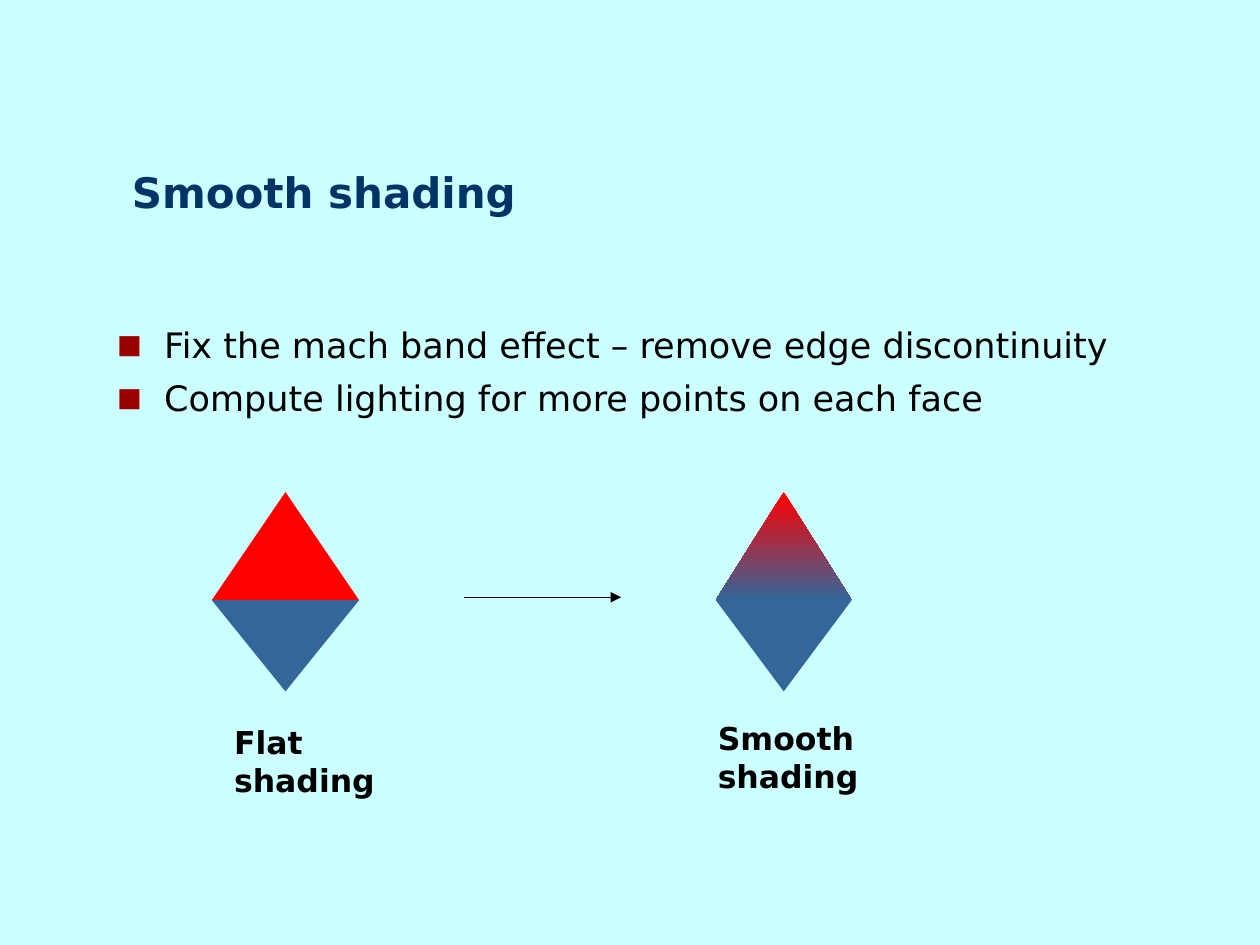
import pptx
import pptx.util
import pptx.dml.color
import pptx.enum.shapes
import pptx.enum.text
import pptx.oxml.ns
import lxml.etree

Cm = pptx.util.Cm
Pt = pptx.util.Pt
RGB = pptx.dml.color.RGBColor
qn = pptx.oxml.ns.qn

PALE = RGB(0xCC, 0xFF, 0xFF)
NAVY = RGB(0x00, 0x33, 0x66)
BLACK = RGB(0x00, 0x00, 0x00)
RED = RGB(0xFF, 0x00, 0x00)
BLUE = RGB(0x33, 0x66, 0x99)
MARK = "9A0000"
FONT = "DejaVu Sans"

# Content; lengths in cm
TITLE = "Smooth shading"
POINTS = [
    "Fix the mach band effect – remove edge discontinuity",
    "Compute lighting for more points on each face",
]
# left, width, colours of the upper face, label, label box
GEMS = [
    (14.43, 2.74, (RED, BLUE), "Smooth shading", (14.22, 14.38, 5.64, 1.02)),
    (4.27, 2.97, (RED,), "Flat shading", (4.47, 14.45, 4.39, 1.02)),
]
TOP, MID, LOW = 9.92, 12.1, 13.94
ARROW = (9.35, 12.04, 12.52, 12.04)


def add_text(slide, box, lines, size, color, bold=False):
    frame = slide.shapes.add_textbox(*map(Cm, box)).text_frame
    frame.word_wrap = True
    for i, line in enumerate(lines):
        para = frame.paragraphs[0] if i == 0 else frame.add_paragraph()
        run = para.add_run()
        run.text = line
        font = run.font
        font.name, font.size, font.bold = FONT, Pt(size), bold
        font.color.rgb = color
    return frame


def add_mark(para):
    """Give a paragraph a square bullet with a hanging indent."""
    props = para._p.get_or_add_pPr()
    props.set("marL", str(Cm(0.95)))
    props.set("indent", str(-Cm(0.95)))
    tint = lxml.etree.SubElement(props, qn("a:buClr"))
    lxml.etree.SubElement(tint, qn("a:srgbClr"), val=MARK)
    lxml.etree.SubElement(props, qn("a:buSzPct"), val="75000")
    lxml.etree.SubElement(props, qn("a:buFont"), typeface=FONT)
    lxml.etree.SubElement(props, qn("a:buChar"), char="■")


def add_face(slide, left, top, width, low, colors, flip=False):
    kind = pptx.enum.shapes.MSO_SHAPE.ISOSCELES_TRIANGLE
    face = slide.shapes.add_shape(
        kind, Cm(left), Cm(top), Cm(width), Cm(low - top))
    face.shadow.inherit = False
    face.line.fill.background()
    if len(colors) == 1:
        face.fill.solid()
        face.fill.fore_color.rgb = colors[0]
    else:
        face.fill.gradient()
        face.fill.gradient_angle = 270
        for stop, color in zip(face.fill.gradient_stops, colors):
            stop.color.rgb = color
    if flip:
        face._element.spPr.find(qn("a:xfrm")).set("flipV", "1")


def add_arrow(slide, ends):
    kind = pptx.enum.shapes.MSO_CONNECTOR.STRAIGHT
    arrow = slide.shapes.add_connector(kind, *map(Cm, ends))
    arrow.line.color.rgb = BLACK
    arrow.line.width = Pt(0.75)
    lxml.etree.SubElement(
        arrow.line._get_or_add_ln(), qn("a:tailEnd"), type="triangle")
    lxml.etree.SubElement(arrow._element.spPr, qn("a:effectLst"))


def main():
    deck = pptx.Presentation()
    deck.slide_width, deck.slide_height = Cm(25.4), Cm(19.05)
    slide = deck.slides.add_slide(deck.slide_layouts[6])
    slide.background.fill.solid()
    slide.background.fill.fore_color.rgb = PALE

    title = add_text(slide, (2.41, 3.23, 22.68, 1.27), [TITLE], 24, NAVY, True)
    title.vertical_anchor = pptx.enum.text.MSO_ANCHOR.BOTTOM

    body = add_text(slide, (2.11, 6.4, 21.59, 11.43), POINTS, 20, BLACK)
    for i, para in enumerate(body.paragraphs):
        add_mark(para)
        if i:
            para.space_before = Pt(6)

    for left, width, colors, label, box in GEMS:
        add_face(slide, left, TOP, width, MID, colors)
        add_face(slide, left, MID, width, LOW, (BLUE,), flip=True)
        add_text(slide, box, [label], 18, BLACK, True)
    add_arrow(slide, ARROW)
    deck.save("out.pptx")


if __name__ == "__main__":
    main()
